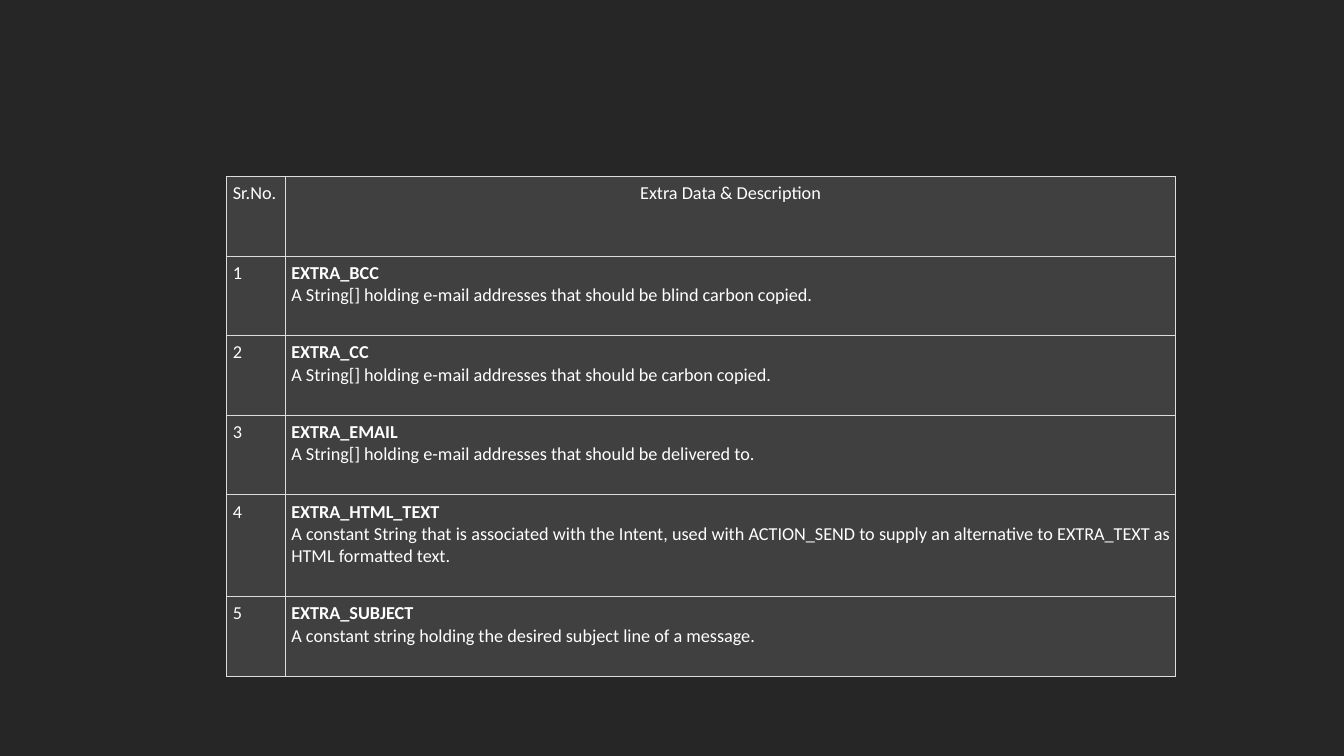
from lxml.etree import SubElement
from pptx import Presentation
from pptx.dml.color import RGBColor
from pptx.enum.text import MSO_ANCHOR, PP_ALIGN
from pptx.oxml.ns import qn
from pptx.util import Inches, Pt


def paint(fill, color):
    fill.solid()
    fill.fore_color.rgb = RGBColor.from_string(color)


def draw_borders(cell, color, width):
    properties = cell._tc.get_or_add_tcPr()
    for position, side in enumerate(("lnL", "lnR", "lnT", "lnB")):
        line = SubElement(properties, qn(f"a:{side}"), w=str(Pt(width)))
        fill = SubElement(line, qn("a:solidFill"))
        SubElement(fill, qn("a:srgbClr"), val=color)
        properties.insert(position, line)


extras = [
    ("EXTRA_BCC", "A String[] holding e-mail addresses that should be blind carbon copied."),
    ("EXTRA_CC", "A String[] holding e-mail addresses that should be carbon copied."),
    ("EXTRA_EMAIL", "A String[] holding e-mail addresses that should be delivered to."),
    (
        "EXTRA_HTML_TEXT",
        "A constant String that is associated with the Intent, used with ACTION_SEND "
        "to supply an alternative to EXTRA_TEXT as HTML formatted text.",
    ),
    ("EXTRA_SUBJECT", "A constant string holding the desired subject line of a message."),
]
rows = [("Sr.No.", ["Extra Data & Description"])]
rows += [(str(number), extra) for number, extra in enumerate(extras, 1)]
column_widths = [0.58, 8.83]
row_heights = [0.79, 0.79, 0.79, 0.79, 1.01, 0.79]
cell_format = {
    "margin_left": Inches(0.06),
    "margin_right": Inches(0.06),
    "margin_top": Inches(0.06),
    "margin_bottom": Inches(0.06),
    "vertical_anchor": MSO_ANCHOR.TOP,
}
font_format = {"name": "Calibri", "size": Pt(13)}

deck = Presentation()
deck.slide_width = Inches(13.33)
deck.slide_height = Inches(7.5)
page = deck.slides.add_slide(deck.slide_layouts[6])
paint(page.background.fill, "262626")

table = page.shapes.add_table(
    len(rows), len(column_widths), Inches(2.25), Inches(1.75),
    Inches(sum(column_widths)), Inches(sum(row_heights)),
).table
table.first_row = False
table.horz_banding = False
for column, width in zip(table.columns, column_widths):
    column.width = Inches(width)
for row, height in zip(table.rows, row_heights):
    row.height = Inches(height)

for row_index, (number, lines) in enumerate(rows):
    for column_index, texts in enumerate(([number], lines)):
        cell = table.cell(row_index, column_index)
        for name, value in cell_format.items():
            setattr(cell, name, value)
        paint(cell.fill, "404040")
        draw_borders(cell, "DDDDDD", 0.75)
        cell.text = "\n".join(texts)
        for line_index, para in enumerate(cell.text_frame.paragraphs):
            if column_index == 0:
                para.alignment = PP_ALIGN.LEFT
            else:
                para.alignment = PP_ALIGN.CENTER if row_index == 0 else PP_ALIGN.JUSTIFY
            span = para.runs[0]
            for name, value in font_format.items():
                setattr(span.font, name, value)
            span.font.bold = len(texts) == 2 and line_index == 0
            paint(span.font.fill, "FFFFFF")

deck.save("out.pptx")
